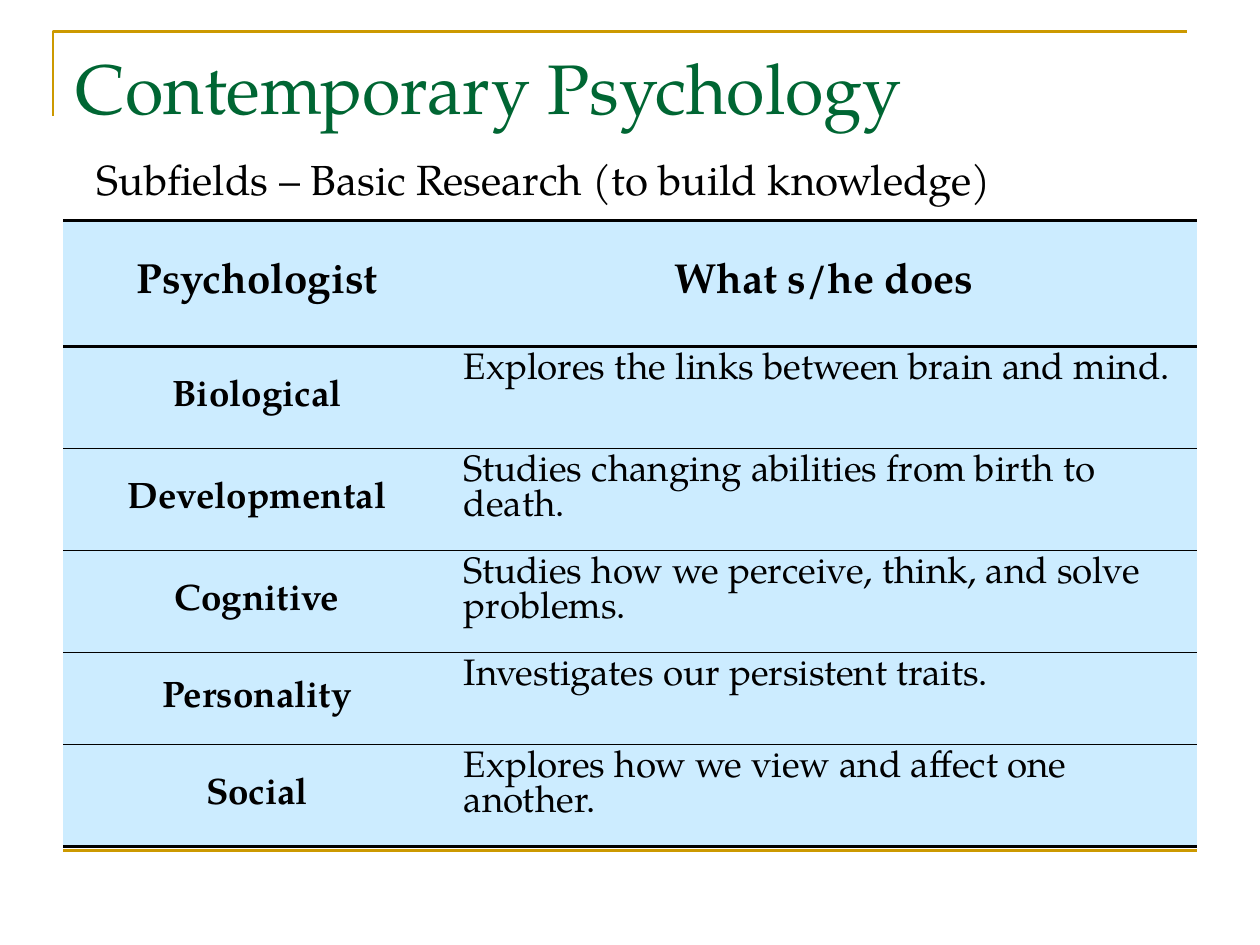
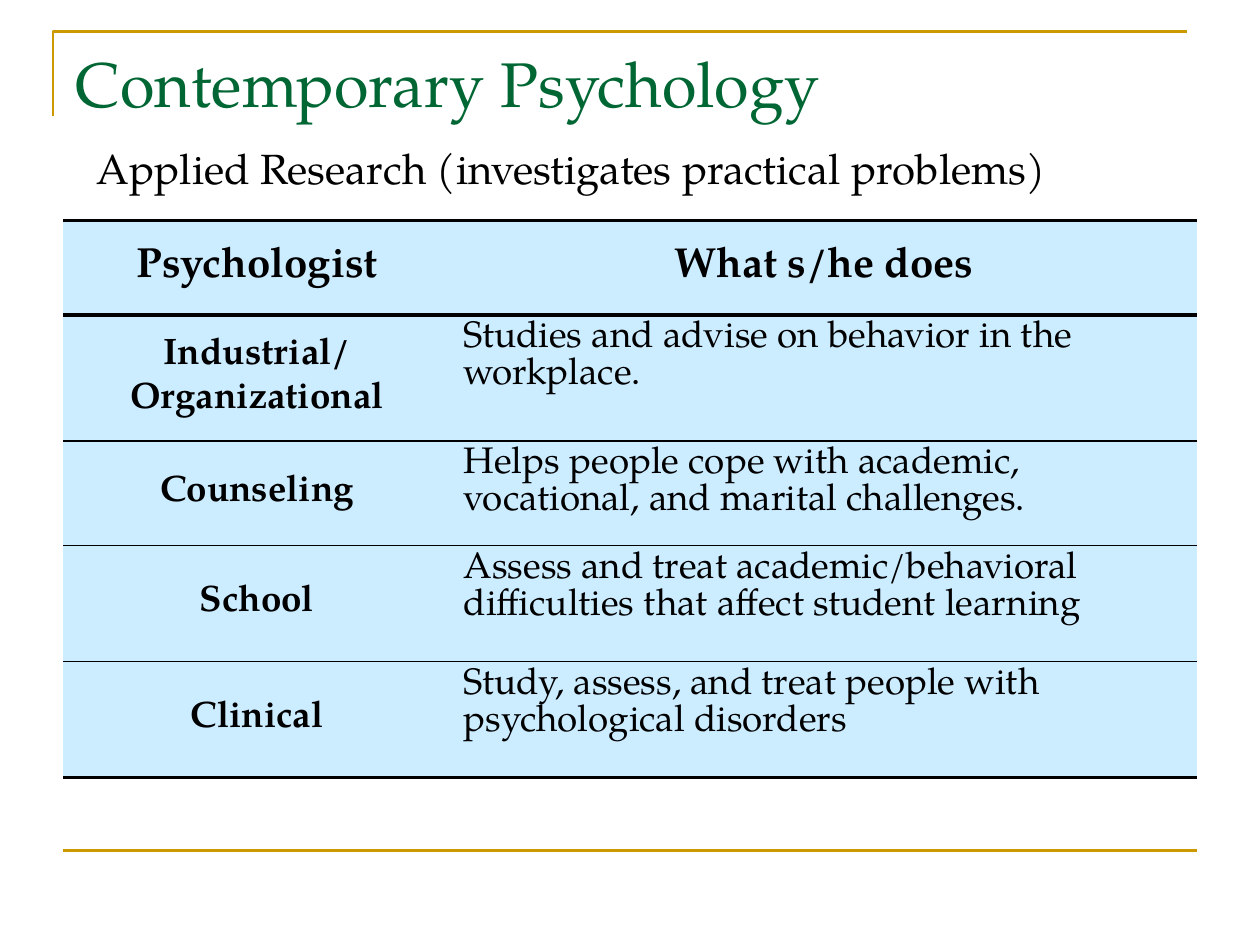
from dataclasses import dataclass

from lxml import etree
from pptx import Presentation
from pptx.dml.color import RGBColor
from pptx.enum import shapes, text
from pptx.oxml import ns
from pptx.util import Inches, Pt

FONT = "TeX Gyre Pagella"
GREEN = RGBColor(0x00, 0x66, 0x33)
GOLD = RGBColor(0xCC, 0x99, 0x00)
BLACK = RGBColor(0x00, 0x00, 0x00)
PALE_BLUE = RGBColor(0xCC, 0xEC, 0xFF)

TITLE = "Contemporary Psychology"
HEADINGS = ("Psychologist", "What s/he does")
COLUMN_WIDTHS = (3.08, 5.92)
HEADING_SIZE, ENTRY_SIZE = 24, 21
THICK, THIN = 2.25, 1


@dataclass(frozen=True)
class Field:
    psychologist: str
    work: str
    height: float


@dataclass(frozen=True)
class ResearchSlide:
    title_size: int
    subtitle: str
    subtitle_top: float
    subtitle_width: float
    heading_height: float
    fields: tuple[Field, ...]
    work_before: float = 0  # space above each description, in points
    work_spacing: float = 1.0


RESEARCH_SLIDES = (
    ResearchSlide(
        40, "Subfields – Basic Research (to build knowledge)", 1.17, 8.75, 1,
        (
            Field("Biological", "Explores the links between brain and mind.", 0.81),
            Field("Developmental", "Studies changing abilities from birth to death.", 0.81),
            Field("Cognitive", "Studies how we perceive, think, and solve problems.", 0.81),
            Field("Personality", "Investigates our persistent traits.", 0.73),
            Field("Social", "Explores how we view and affect one another.", 0.81),
        ),
        work_before=0.2 * ENTRY_SIZE, work_spacing=0.95,
    ),
    ResearchSlide(
        36, "Applied Research (investigates practical problems)", 1.08, 8.58, 0.75,
        (
            Field("Industrial/\nOrganizational",
                  "Studies and advise on behavior in the workplace.", 1),
            Field("Counseling",
                  "Helps people cope with academic, vocational, and marital challenges.", 0.83),
            Field("School",
                  "Assess and treat academic/behavioral difficulties that affect student learning",
                  0.92),
            Field("Clinical",
                  "Study, assess, and treat people with psychological disorders", 0.92),
        ),
    ),
)


def style(paragraph, size: float, color: RGBColor = BLACK, bold: bool = False,
          align=text.PP_ALIGN.LEFT, before: float = 0) -> None:
    paragraph.font.name = FONT
    paragraph.font.size = Pt(size)
    paragraph.font.bold = bold
    paragraph.font.color.rgb = color
    paragraph.alignment = align
    paragraph.space_before = Pt(before)


def draw_frame(slide) -> None:
    """Gold corner above the title and gold rule at the foot."""
    builder = slide.shapes.build_freeform(Inches(0.42), Inches(0.92))
    builder.add_line_segments(
        [(Inches(0.42), Inches(0.25)), (Inches(9.42), Inches(0.25))], close=False)
    corner = builder.convert_to_shape()
    corner.fill.background()
    corner.shadow.inherit = False
    rule = slide.shapes.add_connector(
        shapes.MSO_CONNECTOR.STRAIGHT, Inches(0.5), Inches(6.75), Inches(9.5), Inches(6.75))
    etree.SubElement(rule._element.spPr, ns.qn("a:effectLst"))
    for part in (corner, rule):
        part.line.color.rgb = GOLD
        part.line.width = Pt(1.5)


def draw_title(slide, size: int) -> None:
    title = slide.shapes.title
    title.left, title.top = Inches(0.5), Inches(0.3)
    title.width, title.height = Inches(9), Inches(1.25)
    frame = title.text_frame
    frame.text = TITLE
    frame.auto_size = text.MSO_AUTO_SIZE.NONE
    frame.vertical_anchor = text.MSO_ANCHOR.TOP
    style(frame.paragraphs[0], size, GREEN)


def draw_subtitle(slide, content: ResearchSlide) -> None:
    subtitle = slide.shapes.add_textbox(
        Inches(0.67), Inches(content.subtitle_top),
        Inches(content.subtitle_width), Inches(0.5))
    frame = subtitle.text_frame
    frame.word_wrap = True
    frame.text = content.subtitle
    style(frame.paragraphs[0], 24, before=12)


def set_borders(cell, top: float, bottom: float) -> None:
    """Black rules above and below the cell, none at its sides."""
    properties = cell._tc.get_or_add_tcPr()
    for place, (side, width) in enumerate(
            (("L", 0), ("R", 0), ("T", top), ("B", bottom))):
        line = etree.Element(ns.qn(f"a:ln{side}"), w=str(int(Pt(width))))
        if width:
            fill = etree.SubElement(line, ns.qn("a:solidFill"))
            etree.SubElement(fill, ns.qn("a:srgbClr"), val=str(BLACK))
        else:
            etree.SubElement(line, ns.qn("a:noFill"))
        properties.insert(place, line)


def draw_table(slide, content: ResearchSlide) -> None:
    rows = [HEADINGS] + [(field.psychologist, field.work) for field in content.fields]
    heights = [content.heading_height] + [field.height for field in content.fields]
    table = slide.shapes.add_table(
        len(rows), len(HEADINGS), Inches(0.5), Inches(1.75),
        Inches(sum(COLUMN_WIDTHS)), Inches(sum(heights))).table
    table.horz_banding = False
    for column, width in zip(table.columns, COLUMN_WIDTHS):
        column.width = Inches(width)

    # The heading and the table's outer edges have thick rules
    rules = [THICK, THICK] + [THIN] * (len(rows) - 2) + [THICK]
    for r, (entries, height) in enumerate(zip(rows, heights)):
        table.rows[r].height = Inches(height)
        size = ENTRY_SIZE if r else HEADING_SIZE
        for c, entry in enumerate(entries):
            cell = table.cell(r, c)
            cell.text = entry
            cell.fill.solid()
            cell.fill.fore_color.rgb = PALE_BLUE
            set_borders(cell, rules[r], rules[r + 1])
            is_work = r > 0 and c == 1
            cell.vertical_anchor = text.MSO_ANCHOR.TOP if is_work else text.MSO_ANCHOR.MIDDLE
            for paragraph in cell.text_frame.paragraphs:
                if is_work:
                    style(paragraph, size, before=content.work_before)
                    paragraph.line_spacing = content.work_spacing
                else:
                    style(paragraph, size, bold=True, align=text.PP_ALIGN.CENTER,
                          before=0.2 * size)


def main() -> None:
    deck = Presentation()
    deck.slide_width, deck.slide_height = Inches(10), Inches(7.5)
    title_only = deck.slide_layouts[5]
    for content in RESEARCH_SLIDES:
        slide = deck.slides.add_slide(title_only)
        draw_frame(slide)
        draw_title(slide, content.title_size)
        draw_subtitle(slide, content)
        draw_table(slide, content)
    deck.save("out.pptx")


if __name__ == "__main__":
    main()
